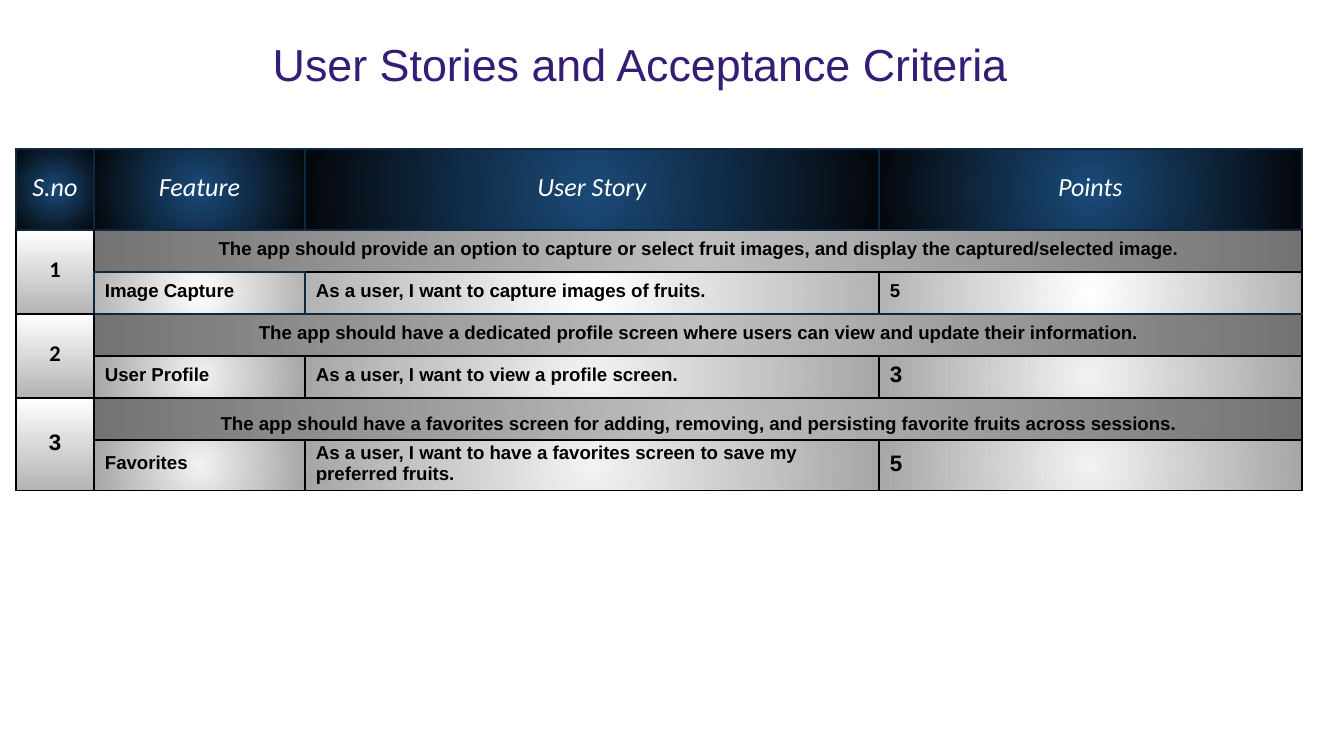
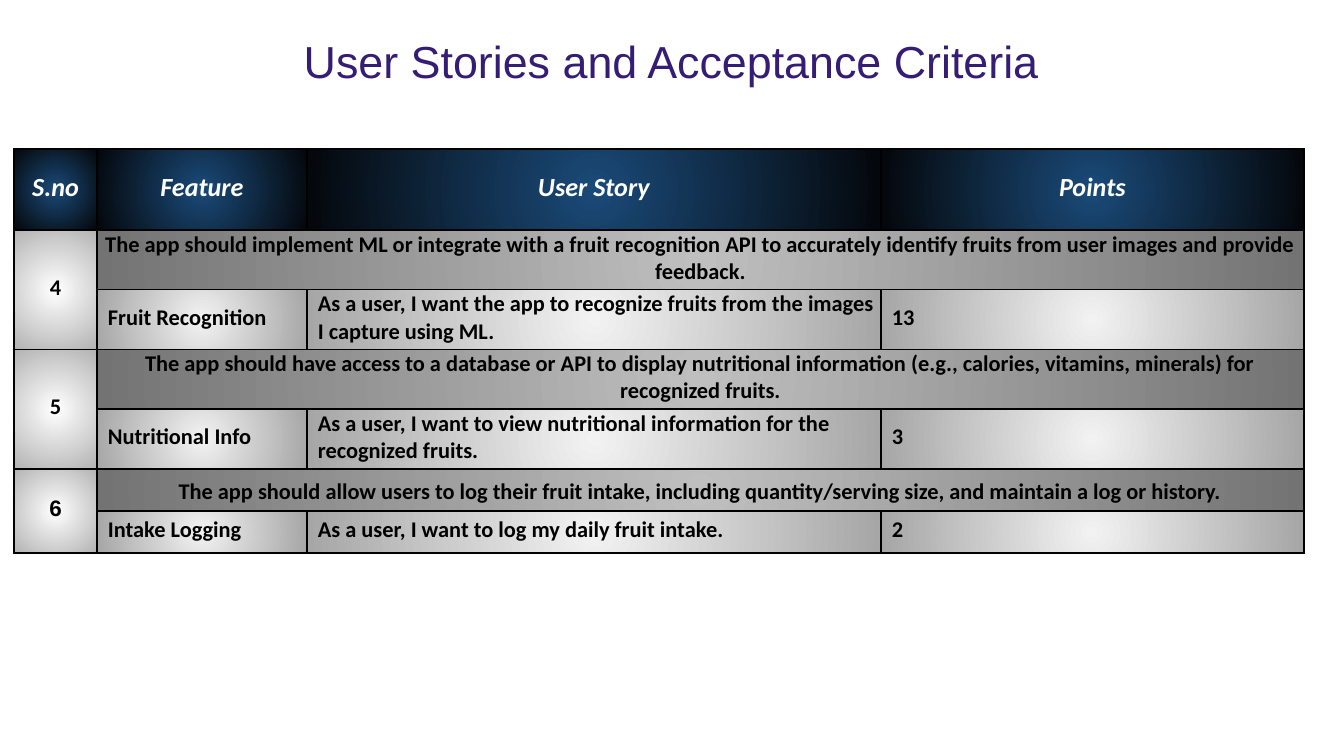
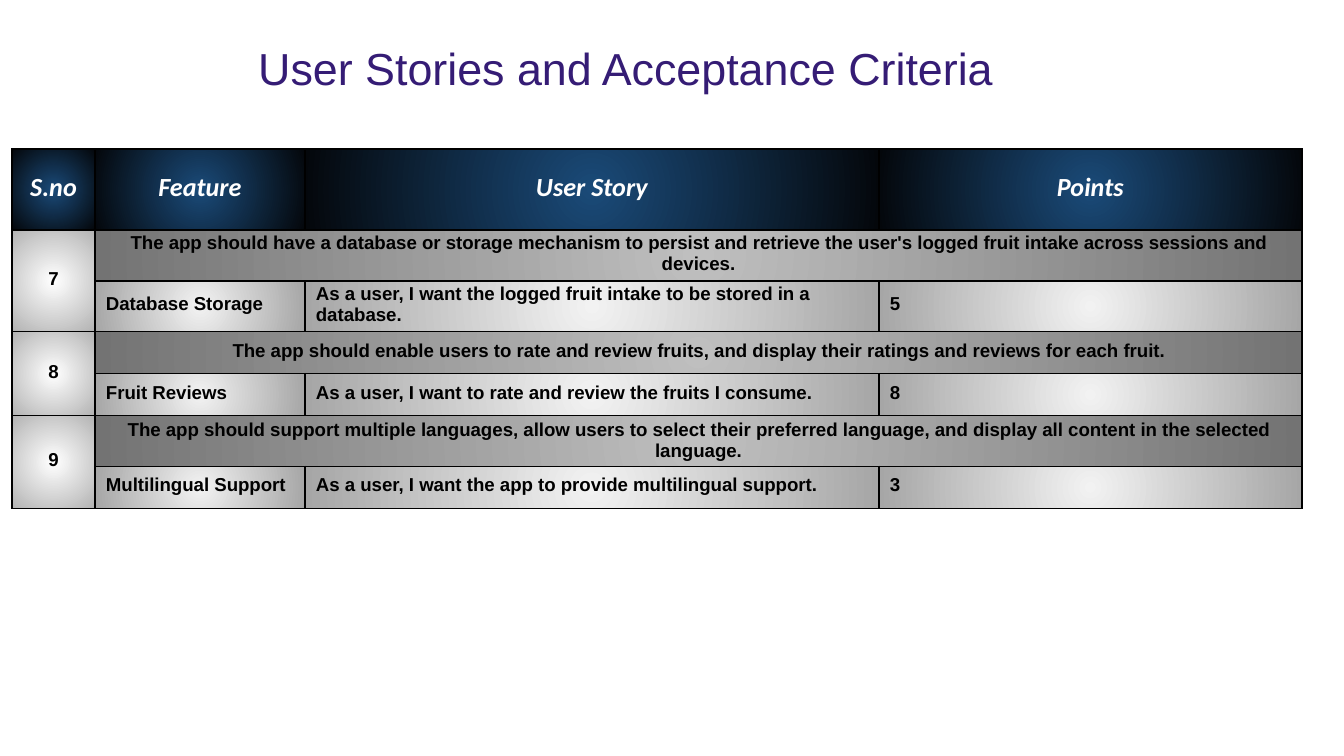
from dataclasses import dataclass

from pptx import Presentation
from pptx.dml.color import RGBColor
from pptx.enum.text import MSO_ANCHOR, MSO_AUTO_SIZE, PP_ALIGN
from pptx.oxml import parse_xml
from pptx.oxml.ns import nsdecls
from pptx.util import Pt

CENTER, LEFT = PP_ALIGN.CENTER, PP_ALIGN.LEFT
TOP, MIDDLE, BOTTOM = MSO_ANCHOR.TOP, MSO_ANCHOR.MIDDLE, MSO_ANCHOR.BOTTOM
FIT = MSO_AUTO_SIZE.SHAPE_TO_FIT_TEXT
SCALE = 914400 / 134.4
TITLE_ONLY = 5


@dataclass(frozen=True)
class Theme:
    sans: str = "Arial"
    human: str = "Calibri"
    title: str = "351C75"
    white: str = "FFFFFF"
    black: str = "000000"
    navy: str = "0E2841"
    head: tuple = ("1A4A78", "04070B")
    band: tuple = ("BFBFBF", "737373")
    pale: tuple = ("FFFFFF", "B3B3B3")
    gray: tuple = ("F2F2F2", "A6A6A6")
    big: int = 24
    mid: int = 14
    base: int = 12
    small: int = 10


T = Theme()
TITLE = "User Stories and Acceptance Criteria"
HEADS = ("S.no", "Feature", "User Story", "Points")
HEAD_H, ROW_H = 81, 42
SIDES = "LRTB"
CIRCLE = ('<a:path path="circle"><a:fillToRect l="50000" t="50000" '
          'r="50000" b="50000"/></a:path>')
DOWN = '<a:lin ang="5400000" scaled="0"/>'

# Each story: number, criterion, feature, user story, points.
# "own" holds font values and "navy" holds border sides by (row, column).
SLIDES = [
    dict(
        title=(40, 32, 1200, 65), table=(16, 149), cols=(78, 211, 574, 423),
        font=dict(name=T.sans, size=T.small), bold=False, shade=DOWN, first=T.pale,
        own={(1, 0): dict(name=T.human, size=T.base),
             (3, 0): dict(name=T.human, size=T.base),
             (5, 0): dict(size=T.base),
             (4, 3): dict(size=T.base),
             (6, 3): dict(size=T.base)},
        navy={**{(0, col): SIDES for col in range(4)},
              (1, 0): "T", (1, 1): "TB", (2, 1): SIDES, (2, 2): "L", (3, 1): "T"},
        stories=[
            ("1", "The app should provide an option to capture or select fruit images, "
             "and display the captured/selected image.",
             "Image Capture", "As a user, I want to capture images of fruits.", "5"),
            ("2", "The app should have a dedicated profile screen where users can view "
             "and update their information.",
             "User Profile", "As a user, I want to view a profile screen.", "3"),
            ("3", "The app should have a favorites screen for adding, removing, and "
             "persisting favorite fruits across sessions.",
             "Favorites", "As a user, I want to have a favorites screen to save my "
             "preferred fruits.", "5"),
        ]),
    dict(
        title=(71, 29, 1200, 65), table=(14, 149), cols=(83, 210, 574, 423),
        font=dict(name=T.human, size=T.base), bold=True, shade=CIRCLE, first=T.gray,
        own={(5, 0): dict(name=T.sans)}, navy={},
        stories=[
            ("4", "The app should implement ML or integrate with a fruit recognition API "
             "to accurately identify fruits from user images and provide feedback.",
             "Fruit Recognition", "As a user, I want the app to recognize fruits from "
             "the images I capture using ML.", "13"),
            ("5", "The app should have access to a database or API to display nutritional "
             "information (e.g., calories, vitamins, minerals) for recognized fruits.",
             "Nutritional Info", "As a user, I want to view nutritional information for "
             "the recognized fruits.", "3"),
            ("6", "The app should allow users to log their fruit intake, including "
             "quantity/serving size, and maintain a log or history.",
             "Intake Logging", "As a user, I want to log my daily fruit intake.", "2"),
        ]),
    dict(
        title=(12, 36, 1227, 65), table=(12, 149), cols=(83, 210, 574, 423),
        font=dict(name=T.sans, size=T.small), bold=True, shade=CIRCLE, first=T.gray,
        own={}, navy={},
        stories=[
            ("7", "The app should have a database or storage mechanism to persist and "
             "retrieve the user's logged fruit intake across sessions and devices.",
             "Database Storage", "As a user, I want the logged fruit intake to be stored "
             "in a database.", "5"),
            ("8", "The app should enable users to rate and review fruits, and display "
             "their ratings and reviews for each fruit.",
             "Fruit Reviews", "As a user, I want to rate and review the fruits I "
             "consume.", "8"),
            ("9", "The app should support multiple languages, allow users to select their "
             "preferred language, and display all content in the selected language.",
             "Multilingual Support", "As a user, I want the app to provide multilingual "
             "support.", "3"),
        ]),
]


def px(num):
    return round(num * SCALE)


def assign(item, values):
    for key, value in values.items():
        setattr(item, key, value)


def style(font, color, size, **values):
    assign(font, dict(values, size=Pt(size)))
    font.color.rgb = RGBColor.from_string(color)


def margins(left, top, right, bottom):
    return dict(margin_left=px(left), margin_top=px(top),
                margin_right=px(right), margin_bottom=px(bottom))


def add_title(slide, box):
    shape = slide.shapes.title
    assign(shape, dict(zip(("left", "top", "width", "height"), map(px, box))))
    frame = shape.text_frame
    frame.text = TITLE
    assign(frame, dict(margins(10, 5, 10, 5), word_wrap=True,
                       vertical_anchor=TOP, auto_size=FIT))
    para = frame.paragraphs[0]
    para.alignment = CENTER
    style(para.runs[0].font, T.title, T.big, name=T.sans)


def add_edges(cell, navy):
    props = cell._tc.get_or_add_tcPr()
    for side in SIDES:
        color = T.navy if side in navy else T.black
        props.append(parse_xml(
            f'<a:ln{side} {nsdecls("a")} w="12700"><a:solidFill>'
            f'<a:srgbClr val="{color}"/></a:solidFill></a:ln{side}>'))


def add_blend(cell, colors, shade):
    """Fill the cell with a gradient; call after add_edges, as the schema asks."""
    stops = "".join(f'<a:gs pos="{pos}"><a:srgbClr val="{color}"/></a:gs>'
                    for pos, color in zip((0, 100000), colors))
    cell._tc.get_or_add_tcPr().append(parse_xml(
        f'<a:gradFill {nsdecls("a")} rotWithShape="1">'
        f'<a:gsLst>{stops}</a:gsLst>{shade}</a:gradFill>'))


def look(data, row, col):
    """Return gradient colours, gradient shape and alignment for a cell."""
    if row == 0:
        return T.head, CIRCLE, CENTER
    if col == 0:
        return T.pale, data["shade"], CENTER
    if row % 2:
        return T.band, CIRCLE, CENTER
    return data["first"] if row == 2 else T.gray, CIRCLE, LEFT


def root(row, col):
    """Return the place of the merged cell that covers this one."""
    if row and col == 0:
        return row - 1 + row % 2, 0
    return (row, 1) if row % 2 and col else (row, col)


def format_cell(cell, data, row, col):
    colors, shade, align = look(data, row, col)
    low = (row, col) == (2 * len(data["stories"]) - 1, 1)
    assign(cell, dict(margins(1, 1, 1, 5), vertical_anchor=BOTTOM if low else MIDDLE))
    add_edges(cell, data["navy"].get((row, col), ""))
    add_blend(cell, colors, shade)
    para = cell.text_frame.paragraphs[0]
    para.alignment = align
    if align == LEFT:
        para._p.get_or_add_pPr().set("marL", str(px(10)))
    if row == 0:
        style(para.font, T.white, T.mid, name=T.human, bold=data["bold"], italic=True)
    else:
        font = {**data["font"], **data["own"].get((row, col), {})}
        style(para.font, T.black, bold=True, **font)
    for run in para.runs:
        if row == 0:
            style(run.font, T.white, T.mid, name=T.human, bold=data["bold"], italic=True)
        else:
            style(run.font, T.black, bold=True, **font)


def add_stories(slide, data):
    left, top = data["table"]
    cols = data["cols"]
    count = 2 * len(data["stories"]) + 1
    table = slide.shapes.add_table(
        count, len(cols), px(left), px(top), px(sum(cols)),
        px(HEAD_H + ROW_H * (count - 1))).table
    assign(table, dict(first_row=False, horz_banding=False))
    for col, width in enumerate(cols):
        table.columns[col].width = px(width)
        table.cell(0, col).text = HEADS[col]
    for row in range(count):
        table.rows[row].height = px(ROW_H if row else HEAD_H)
    for at, (num, rule, *parts) in enumerate(data["stories"]):
        row = 2 * at + 1
        table.cell(row, 0).merge(table.cell(row + 1, 0))
        table.cell(row, 1).merge(table.cell(row, 3))
        table.cell(row, 0).text = num
        table.cell(row, 1).text = rule
        for col, part in enumerate(parts, 1):
            table.cell(row + 1, col).text = part
    for row in range(count):
        for col in range(len(cols)):
            format_cell(table.cell(row, col), data, *root(row, col))


def main():
    deck = Presentation()
    assign(deck, dict(slide_width=px(1344), slide_height=px(756)))
    for data in SLIDES:
        slide = deck.slides.add_slide(deck.slide_layouts[TITLE_ONLY])
        add_title(slide, data["title"])
        add_stories(slide, data)
    deck.save("out.pptx")


if __name__ == "__main__":
    main()
